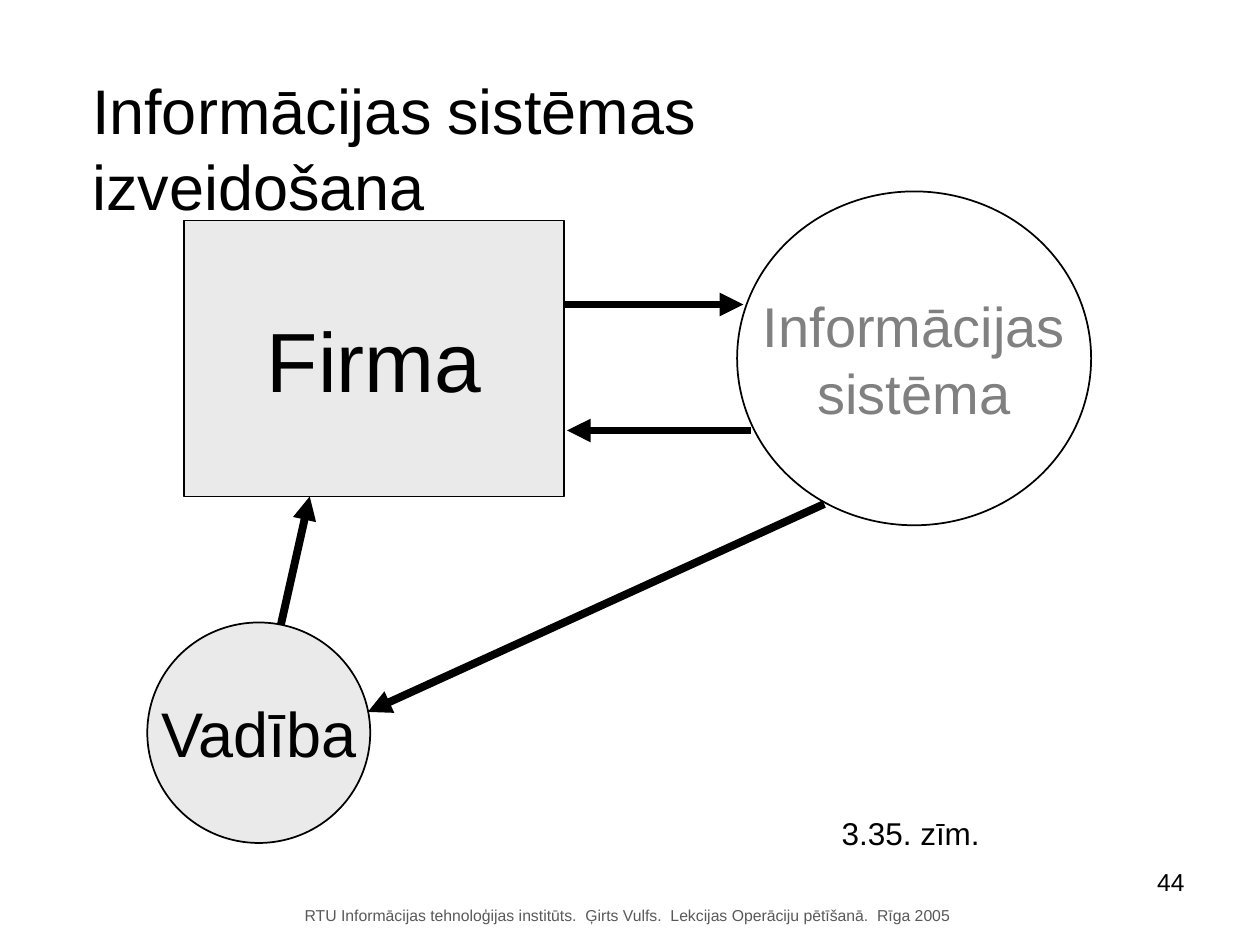
from dataclasses import dataclass

from lxml.etree import SubElement
from pptx import Presentation
from pptx.dml.color import RGBColor
from pptx.enum.shapes import MSO_CONNECTOR, MSO_SHAPE
from pptx.enum.text import MSO_ANCHOR, MSO_AUTO_SIZE, PP_ALIGN
from pptx.oxml.ns import qn
from pptx.util import Pt


@dataclass(frozen=True)
class Theme:
    font: str = "Arial"
    black: RGBColor = RGBColor(0, 0, 0)
    white: RGBColor = RGBColor(255, 255, 255)
    panel: RGBColor = RGBColor(0xEA, 0xEA, 0xEA)
    muted: RGBColor = RGBColor(0x80, 0x80, 0x80)
    footer: RGBColor = RGBColor(0x59, 0x59, 0x59)
    title_size: int = 36
    title_gap_size: int = 32
    firm_size: int = 48
    system_size: int = 32
    management_size: int = 36
    caption_size: int = 18
    number_size: int = 14
    footer_size: int = 9
    outline: float = 1
    arrow: float = 4.5


THEME = Theme()


def write_text(frame, lines, size, color=THEME.black, align=PP_ALIGN.LEFT,
               anchor=MSO_ANCHOR.TOP, wrap=False):
    """Write one paragraph per line; a line is a string or (text, size) spans."""
    frame.auto_size = MSO_AUTO_SIZE.NONE
    frame.word_wrap = wrap
    frame.vertical_anchor = anchor
    frame.margin_left = frame.margin_right = Pt(7.2)
    frame.margin_top = frame.margin_bottom = Pt(3.6)
    for index, line in enumerate(lines):
        para = frame.add_paragraph() if index else frame.paragraphs[0]
        para.alignment = align
        spans = [(line, size)] if isinstance(line, str) else line
        for text, span_size in spans:
            span = para.add_run()
            span.text = text
            span.font.name = THEME.font
            span.font.size = Pt(span_size)
            span.font.color.rgb = color


def add_title(page, spans, left, top, width, height, indent):
    title = page.shapes.title
    title.left, title.top = Pt(left), Pt(top)
    title.width, title.height = Pt(width), Pt(height)
    write_text(title.text_frame, [spans], THEME.title_size)
    properties = title.text_frame.paragraphs[0]._p.get_or_add_pPr()
    properties.set("marL", str(Pt(indent)))


def add_label(page, text, left, top, width, height, **text_format):
    box = page.shapes.add_textbox(Pt(left), Pt(top), Pt(width), Pt(height))
    write_text(box.text_frame, [text], **text_format)


def add_node(page, kind, lines, left, top, width, height, fill, **text_format):
    node = page.shapes.add_shape(kind, Pt(left), Pt(top), Pt(width), Pt(height))
    node.shadow.inherit = False
    node.fill.solid()
    node.fill.fore_color.rgb = fill
    node.line.color.rgb = THEME.black
    node.line.width = Pt(THEME.outline)
    write_text(node.text_frame, lines, align=PP_ALIGN.CENTER,
               anchor=MSO_ANCHOR.MIDDLE, **text_format)


def add_arrow(page, start, end):
    arrow = page.shapes.add_connector(
        MSO_CONNECTOR.STRAIGHT, *(Pt(value) for value in (*start, *end)))
    arrow.line.color.rgb = THEME.black
    arrow.line.width = Pt(THEME.arrow)
    SubElement(arrow.line._get_or_add_ln(), qn("a:tailEnd"), type="triangle")
    SubElement(arrow._element.spPr, qn("a:effectLst"))


def main():
    deck = Presentation()
    deck.slide_width, deck.slide_height = Pt(720), Pt(540)
    page = deck.slides.add_slide(deck.slide_layouts[5])
    page.background.fill.solid()
    page.background.fill.fore_color.rgb = THEME.white

    # Title
    add_title(page, [("Informācijas", THEME.title_size),
                     (" ", THEME.title_gap_size),
                     ("sistēmas izveidošana", THEME.title_size)],
              0, 37.5, 604, 50.4, indent=45.4)

    # Firm, information system and management
    add_node(page, MSO_SHAPE.RECTANGLE, ["Firma"], 105.1, 126, 217.4, 157.7,
             fill=THEME.panel, size=THEME.firm_size)
    add_node(page, MSO_SHAPE.OVAL, ["Informācijas", "sistēma"],
             421.2, 109.4, 202.3, 190.8,
             fill=THEME.white, size=THEME.system_size, color=THEME.muted)
    add_node(page, MSO_SHAPE.OVAL, ["Vadība"], 84.2, 355.7, 127.4, 126,
             fill=THEME.panel, size=THEME.management_size)

    # Information flows
    for start, end in [
        ((322.5, 174), (424.8, 174)),
        ((429, 246), (324, 246)),
        ((160.5, 357), (177, 283.7)),
        ((471, 288), (210.2, 406.8)),
    ]:
        add_arrow(page, start, end)

    # Caption, page number and footer
    add_label(page, "3.35. zīm.", 473.8, 461.5, 93.6, 28.8,
              size=THEME.caption_size)
    add_label(page, "44", 626.4, 491.8, 57.6, 37.4, size=THEME.number_size,
              align=PP_ALIGN.RIGHT, wrap=True)
    add_label(page, "RTU Informācijas tehnoloģijas institūts.  Ģirts Vulfs.  "
              "Lekcijas Operāciju pētīšanā.  Rīga 2005",
              167, 514.1, 383.8, 18, size=THEME.footer_size,
              color=THEME.footer)

    deck.save("out.pptx")


if __name__ == "__main__":
    main()
